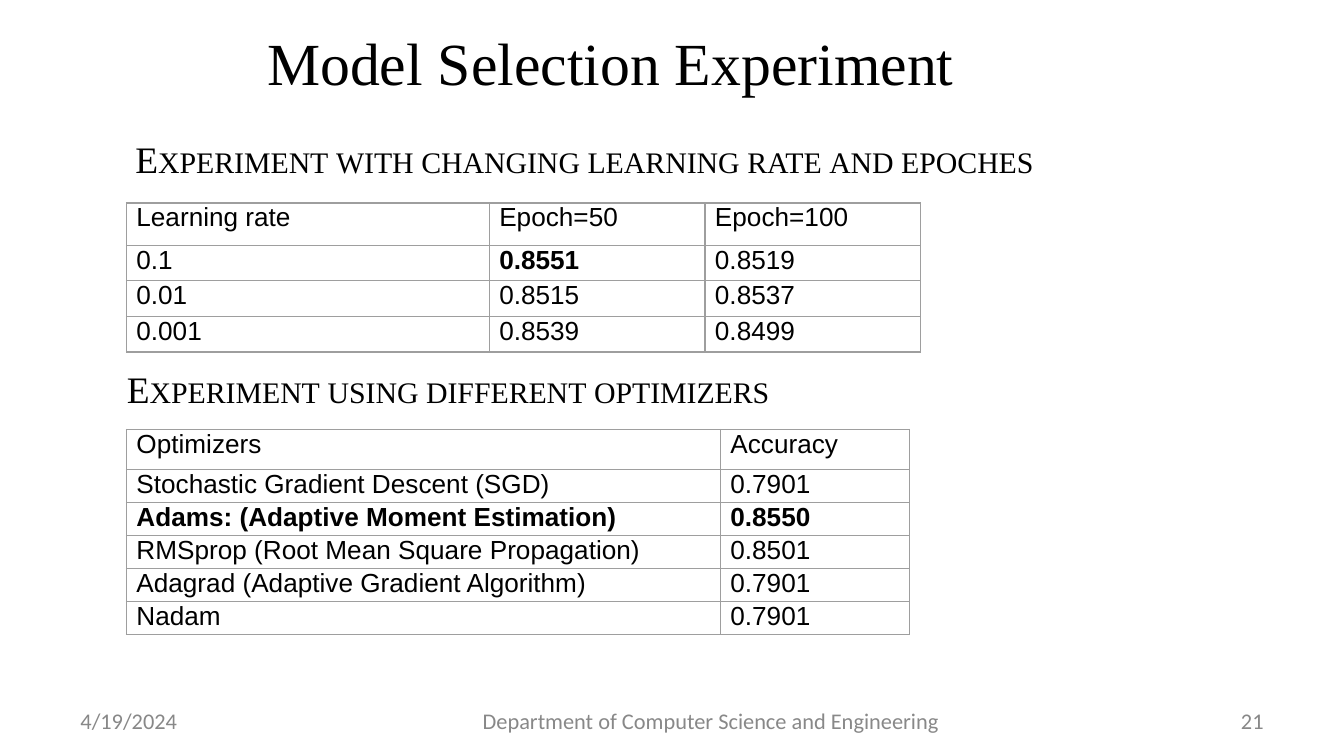
"""Build the model selection slide with its two result tables."""
from dataclasses import dataclass

import pptx
import pptx.dml.color
import pptx.enum.text
import pptx.oxml
import pptx.oxml.ns
import pptx.presentation
import pptx.shapes.base
import pptx.slide
import pptx.table
import pptx.text.text
import pptx.util

EMU_PER_PX = 4572
ALIGN = pptx.enum.text.PP_ALIGN
MIDDLE = pptx.enum.text.MSO_ANCHOR.MIDDLE


@dataclass(frozen=True)
class Font:
    name: str
    size: int
    color: str


@dataclass(frozen=True)
class Theme:
    title: Font = Font("Times New Roman", 32, "000000")
    heading: Font = Font("Times New Roman", 20, "000000")
    cell: Font = Font("Arial", 14, "000000")
    footer: Font = Font("Calibri", 12, "888888")
    border: str = "9E9E9E"
    border_width: float = 0.75


@dataclass(frozen=True)
class Box:
    left: int
    top: int
    width: int
    height: int


@dataclass(frozen=True)
class Label:
    text: str
    box: Box
    align: ALIGN


@dataclass(frozen=True)
class ResultTable:
    left: int
    top: int
    column_widths: tuple[int, ...]
    header_height: int
    row_height: int
    rows: tuple[tuple[str, ...], ...]
    bold: frozenset[str]


THEME = Theme()
TITLE = Label("Model Selection Experiment", Box(240, 23, 1338, 138), ALIGN.CENTER)
HEADINGS = (
    Label("Experiment with changing learning rate and epoches", Box(100, 200, 1540, 80), ALIGN.CENTER),
    Label("Experiment using different optimizers", Box(-19, 543, 1372, 80), ALIGN.CENTER),
)
FOOTERS = (
    Label("4/19/2024", Box(100, 1043, 467, 60), ALIGN.LEFT),
    Label("Department of Computer Science and Engineering", Box(683, 1043, 750, 60), ALIGN.CENTER),
    Label("21", Box(1433, 1043, 467, 60), ALIGN.RIGHT),
)
TABLES = (
    ResultTable(
        188, 302, (540, 321, 321), 63, 53,
        (
            ("Learning rate", "Epoch=50", "Epoch=100"),
            ("0.1", "0.8551", "0.8519"),
            ("0.01", "0.8515", "0.8537"),
            ("0.001", "0.8539", "0.8499"),
        ),
        frozenset({"0.8551"}),
    ),
    ResultTable(
        188, 639, (884, 281), 60, 49,
        (
            ("Optimizers", "Accuracy"),
            ("Stochastic Gradient Descent (SGD)", "0.7901"),
            ("Adams: (Adaptive Moment Estimation)", "0.8550"),
            ("RMSprop (Root Mean Square Propagation)", "0.8501"),
            ("Adagrad (Adaptive Gradient Algorithm)", "0.7901"),
            ("Nadam", "0.7901"),
        ),
        frozenset({"Adams: (Adaptive Moment Estimation)", "0.8550"}),
    ),
)


def px(length: int) -> pptx.util.Emu:
    return pptx.util.Emu(length * EMU_PER_PX)


def place(shape: pptx.shapes.base.BaseShape, box: Box) -> None:
    shape.left, shape.top = px(box.left), px(box.top)
    shape.width, shape.height = px(box.width), px(box.height)


def style_paragraph(paragraph: pptx.text.text._Paragraph, font: Font, bold: bool = False) -> None:
    paragraph.font.name = font.name
    paragraph.font.size = pptx.util.Pt(font.size)
    paragraph.font.bold = bold
    paragraph.font.color.rgb = pptx.dml.color.RGBColor.from_string(font.color)


def fill_label(shape: pptx.shapes.base.BaseShape, label: Label, font: Font) -> pptx.text.text._Paragraph:
    place(shape, label.box)
    text_frame = shape.text_frame
    text_frame.word_wrap = True
    text_frame.text = label.text
    paragraph = text_frame.paragraphs[0]
    paragraph.alignment = label.align
    style_paragraph(paragraph, font)
    return paragraph


def add_heading(slide: pptx.slide.Slide, label: Label) -> None:
    shape = slide.shapes.add_textbox(0, 0, 0, 0)
    paragraph = fill_label(shape, label, THEME.heading)
    shape.text_frame.auto_size = pptx.enum.text.MSO_AUTO_SIZE.SHAPE_TO_FIT_TEXT
    paragraph.line_spacing = 0.9
    paragraph.space_before = pptx.util.Pt(12)
    paragraph.space_after = pptx.util.Pt(6)
    paragraph.runs[0].font._element.set("cap", "small")


def add_footer(slide: pptx.slide.Slide, label: Label) -> None:
    shape = slide.shapes.add_textbox(0, 0, 0, 0)
    fill_label(shape, label, THEME.footer)
    shape.text_frame.vertical_anchor = MIDDLE


def add_borders(cell: pptx.table._Cell) -> None:
    properties = cell._tc.get_or_add_tcPr()
    for side in ("lnL", "lnR", "lnT", "lnB"):
        properties.append(pptx.oxml.parse_xml(
            f'<a:{side} {pptx.oxml.ns.nsdecls("a")} w="{pptx.util.Pt(THEME.border_width)}">'
            f'<a:solidFill><a:srgbClr val="{THEME.border}"/></a:solidFill></a:{side}>'
        ))


def fill_cell(cell: pptx.table._Cell, text: str, bold: bool) -> None:
    cell.text = text
    cell.margin_left = cell.margin_right = px(15)
    cell.margin_top = cell.margin_bottom = 0
    style_paragraph(cell.text_frame.paragraphs[0], THEME.cell, bold)
    add_borders(cell)
    cell.fill.background()


def add_result_table(slide: pptx.slide.Slide, result: ResultTable) -> None:
    heights = [result.header_height] + [result.row_height] * (len(result.rows) - 1)
    table = slide.shapes.add_table(
        len(heights), len(result.column_widths), px(result.left), px(result.top),
        px(sum(result.column_widths)), px(sum(heights)),
    ).table
    table.first_row = table.horz_banding = False
    for column, width in zip(table.columns, result.column_widths):
        column.width = px(width)
    for row, height, texts in zip(table.rows, heights, result.rows):
        row.height = px(height)
        for cell, text in zip(row.cells, texts):
            fill_cell(cell, text, text in result.bold)


def main() -> None:
    presentation = pptx.Presentation()
    presentation.slide_width, presentation.slide_height = px(2000), px(1125)
    slide = presentation.slides.add_slide(presentation.slide_layouts[5])
    fill_label(slide.shapes.title, TITLE, THEME.title)
    slide.shapes.title.text_frame.vertical_anchor = MIDDLE
    for heading, result in zip(HEADINGS, TABLES):
        add_heading(slide, heading)
        add_result_table(slide, result)
    for footer in FOOTERS:
        add_footer(slide, footer)
    presentation.save("out.pptx")


if __name__ == "__main__":
    main()
